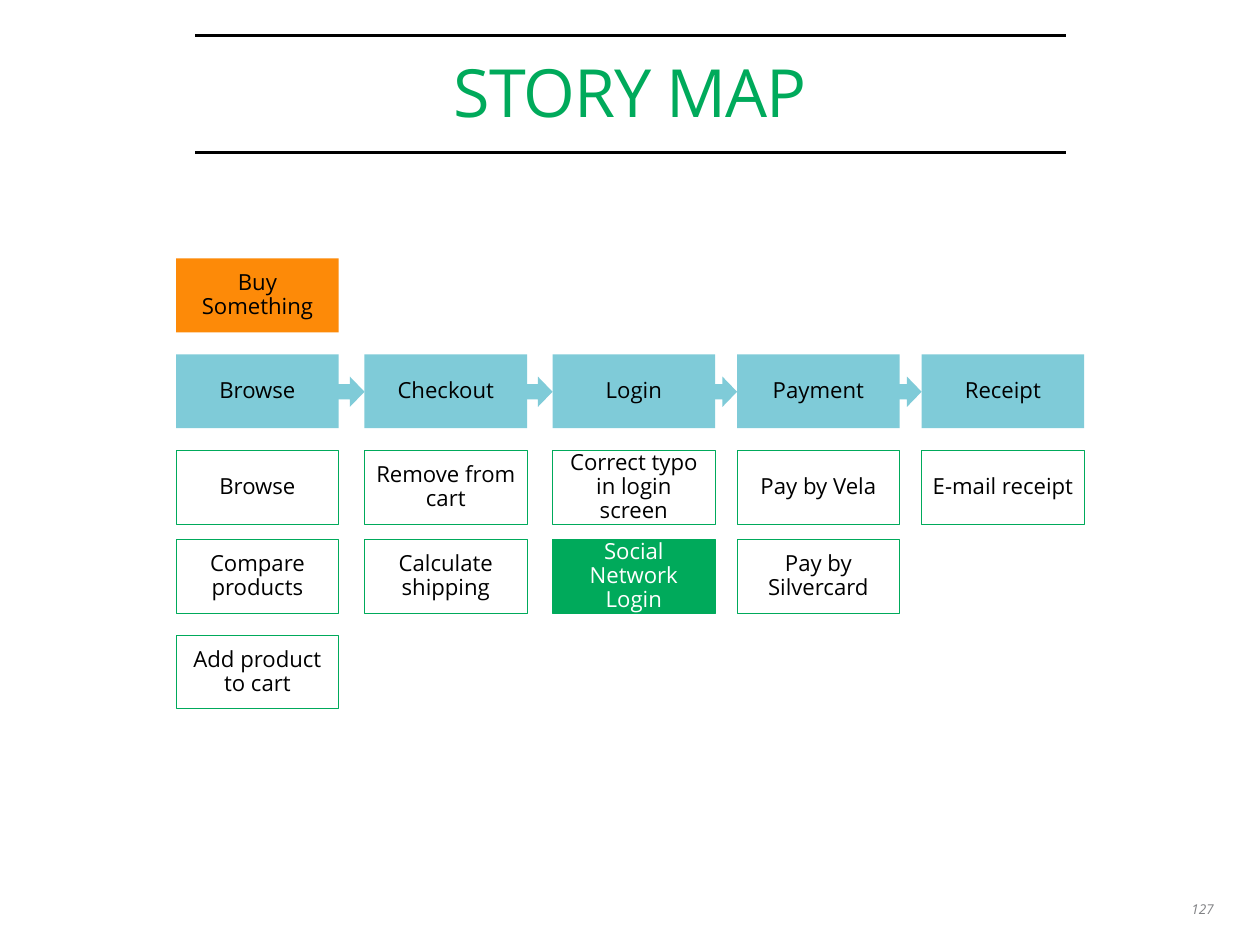
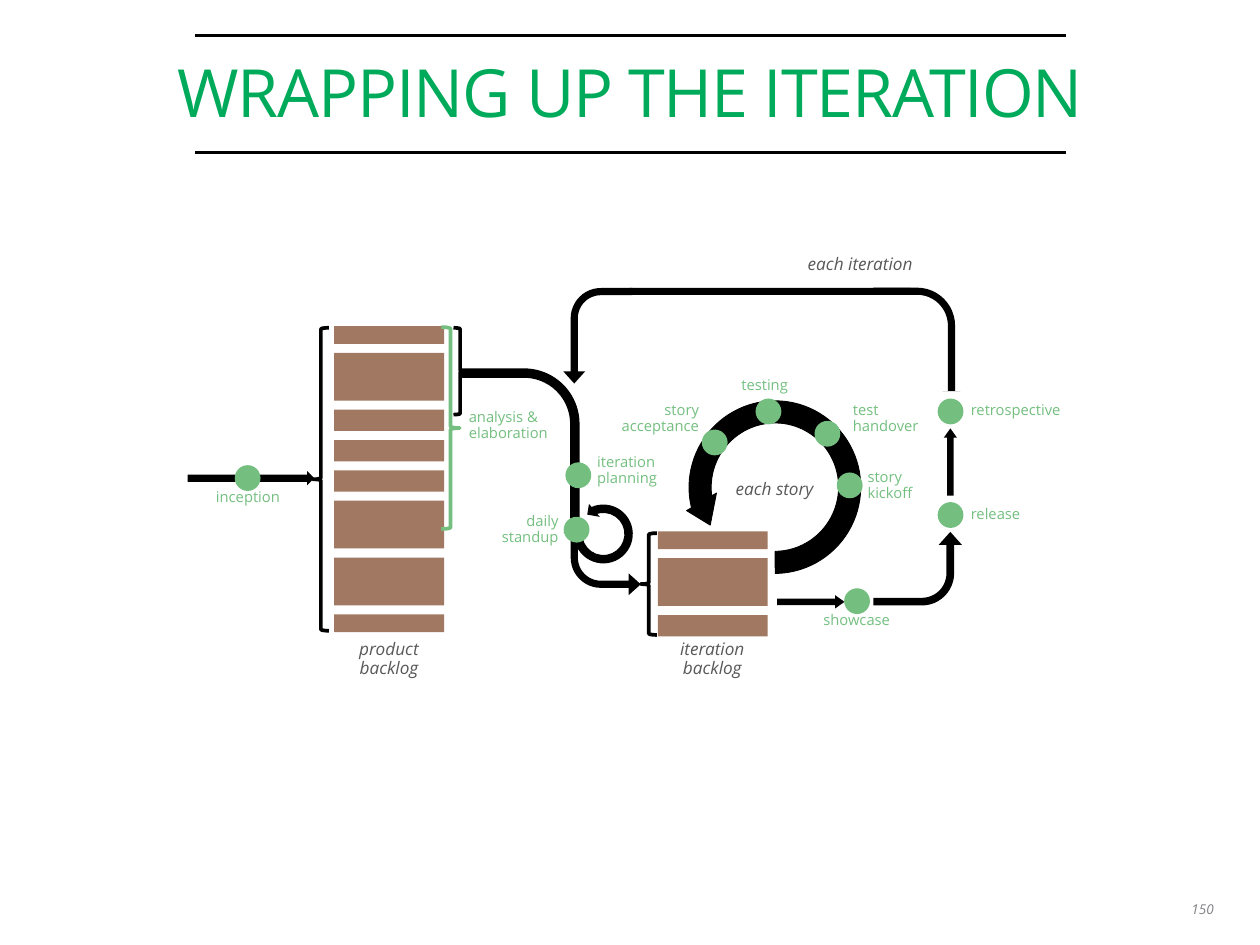
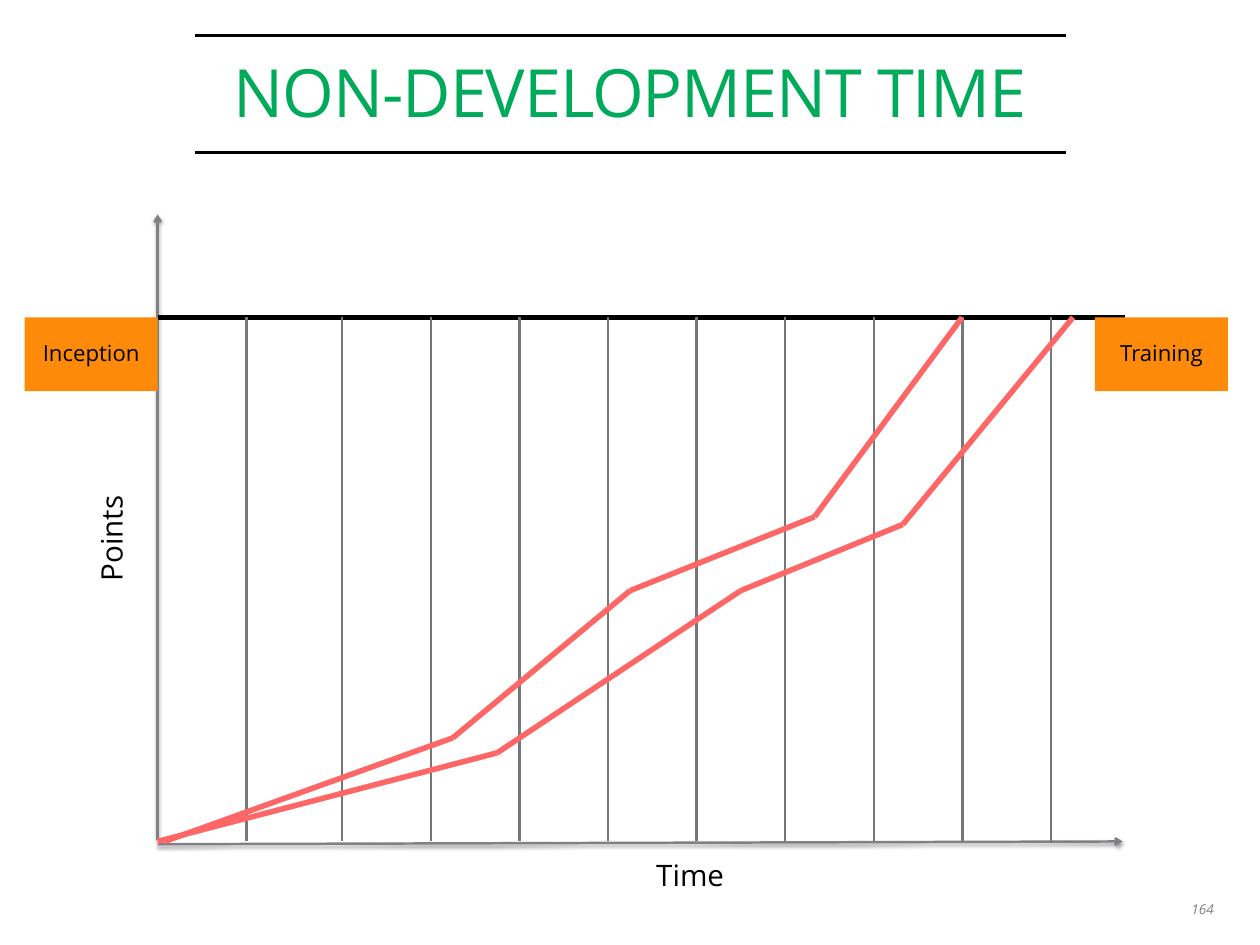
"""Build three agile training slides: story map, iteration flow and burn-up."""
from dataclasses import dataclass
from typing import Optional

from lxml import etree
from pptx import Presentation
from pptx.dml.color import RGBColor
from pptx.enum.shapes import MSO_CONNECTOR, MSO_SHAPE
from pptx.enum.text import MSO_ANCHOR, MSO_AUTO_SIZE, PP_ALIGN
from pptx.oxml.ns import qn
from pptx.shapes.autoshape import Shape
from pptx.shapes.connector import Connector
from pptx.slide import Slide
from pptx.text.text import TextFrame
from pptx.util import Cm, Pt

RECTANGLE = MSO_SHAPE.RECTANGLE
OVAL = MSO_SHAPE.OVAL
RIGHT_ARROW = MSO_SHAPE.RIGHT_ARROW
BENT_ARROW = MSO_SHAPE.BENT_ARROW
CIRCULAR_ARROW = MSO_SHAPE.CIRCULAR_ARROW
LEFT_BRACE = MSO_SHAPE.LEFT_BRACE
STRAIGHT = MSO_CONNECTOR.STRAIGHT
MIDDLE = MSO_ANCHOR.MIDDLE
NO_AUTOFIT = MSO_AUTO_SIZE.NONE
GROW = MSO_AUTO_SIZE.SHAPE_TO_FIT_TEXT
LEFT, CENTER, RIGHT = PP_ALIGN.LEFT, PP_ALIGN.CENTER, PP_ALIGN.RIGHT

BLACK = RGBColor(0x00, 0x00, 0x00)
WHITE = RGBColor(0xFF, 0xFF, 0xFF)
GREEN = RGBColor(0x00, 0xAA, 0x5B)
SOFT_GREEN = RGBColor(0x74, 0xBF, 0x80)
BLUE = RGBColor(0x7F, 0xCB, 0xD8)
ORANGE = RGBColor(0xFD, 0x8A, 0x08)
BROWN = RGBColor(0xA1, 0x78, 0x61)
RED = RGBColor(0xFF, 0x66, 0x66)
GRAY = RGBColor(0x80, 0x81, 0x84)
GRID_GRAY = RGBColor(0x77, 0x77, 0x77)
DARK_GRAY = RGBColor(0x59, 0x59, 0x59)

FONT = "Open Sans"
SLIDE_WIDTH, SLIDE_HEIGHT = 36.12, 27.1
CARD_HEIGHT = 2.12


@dataclass(frozen=True)
class Box:
    """Frame of a shape in centimetres."""
    left: float
    top: float
    width: float
    height: float

    def lengths(self) -> tuple[Cm, Cm, Cm, Cm]:
        """Return the frame as lengths."""
        return Cm(self.left), Cm(self.top), Cm(self.width), Cm(self.height)


@dataclass(frozen=True)
class TextStyle:
    """Look of the paragraphs in one text frame."""
    size: float
    color: RGBColor = BLACK
    align: PP_ALIGN = CENTER
    italic: bool = False
    spacing: float = 0.9


@dataclass(frozen=True)
class Column:
    """One step of the story map with its stories."""
    left: float
    step: str
    stories: tuple[str, ...]


@dataclass(frozen=True)
class Arrow:
    """Solid block arrow of the iteration flow."""
    kind: MSO_SHAPE
    box: Box
    rotation: float = 0
    flip: str = ""
    adjustments: tuple[float, ...] = ()
    outline: Optional[RGBColor] = None


@dataclass(frozen=True)
class Brace:
    """Brace beside a backlog."""
    box: Box
    rotation: float = 0
    color: RGBColor = BLACK


@dataclass(frozen=True)
class Label:
    """Activity name in the iteration flow."""
    text: str
    left: float
    top: float
    align: PP_ALIGN = LEFT
    width: float = 3.5


TITLE = TextStyle(54, GREEN, spacing=0.7)
PAGE_NUMBER = TextStyle(11, GRAY, RIGHT, italic=True, spacing=1.0)
CARD = TextStyle(18)
HIGHLIGHT = TextStyle(18, WHITE)
AXIS = TextStyle(24)
CAPTION = TextStyle(14, DARK_GRAY, italic=True)

COLUMNS = (
    Column(5.05, "Browse", ("Browse", "Compare products", "Add product to cart")),
    Column(10.45, "Checkout", ("Remove from cart", "Calculate shipping")),
    Column(15.84, "Login", ("Correct typo in login screen", "Social Network Login")),
    Column(21.13, "Payment", ("Pay by Vela", "Pay by Silvercard")),
    Column(26.42, "Receipt", ("E-mail receipt",)),
)
MAP_CARD_WIDTH = 4.66
GOAL_TOP, STEP_TOP = 7.41, 10.16
STORY_TOPS = (12.91, 15.46, 18.21)
HIGHLIGHTED_STORY = "Social Network Login"

THIN, MEDIUM, THICK = 0.51, 0.61, 1.37
PRODUCT_BACKLOG = (THIN, THICK, MEDIUM, MEDIUM, MEDIUM, THICK, THICK, THIN)
ITERATION_BACKLOG = (THIN, THICK, MEDIUM)
TURN = (0.104, 0.158, 0.176, 0.438)
SHORT = (0.5, 0.704)
ARROWS = (
    Arrow(CIRCULAR_ARROW, Box(19.56, 11.33, 5.31, 5.28), 282.3, "flipH",
          (0.12, 11.423, 176.194, 7.517, 0.094), BLACK),
    Arrow(RIGHT_ARROW, Box(5.38, 13.51, 3.63, 0.41)),
    Arrow(BENT_ARROW, Box(12.65, 11.1, 4.7, 3.63), 90, "", (0.075, 0.093, 0, 0.438)),
    Arrow(BENT_ARROW, Box(15.77, 8.64, 2.74, 1.98), 90, "flipV", TURN),
    Arrow(RIGHT_ARROW, Box(22.28, 17.07, 1.93, 0.38), 0, "", SHORT),
    Arrow(BENT_ARROW, Box(24.8, 8.49, 2.97, 2.49), 90, "", (0.082, 0.102, 0, 0.438)),
    Arrow(BENT_ARROW, Box(25.25, 15.04, 2.11, 2.54), 270, "flipV", TURN),
    Arrow(BENT_ARROW, Box(16.36, 15.09, 2.01, 1.98), 0, "flipV", TURN),
    Arrow(RECTANGLE, Box(18.05, 8.26, 8.05, 0.2)),
    Arrow(CIRCULAR_ARROW, Box(16.33, 14.35, 1.93, 1.93), 230.2, "flipV",
          (0.125, 11.423, 204.577, 13.181, 0.125)),
    Arrow(RIGHT_ARROW, Box(26.28, 13.06, 1.93, 0.38), 270, "", SHORT),
)
BRACES = (
    Brace(Box(8.97, 9.4, 0.46, 8.69)),
    Brace(Box(13, 9.4, 0.38, 2.49), 180),
    Brace(Box(18.37, 15.29, 0.46, 2.92)),
    Brace(Box(12.65, 9.38, 0.53, 5.79), 180, SOFT_GREEN),
)
DOT_SIZE = 0.74
DOTS = (
    (6.73, 13.34), (16.21, 13.26), (16.16, 14.82), (20.12, 12.32), (21.66, 11.43),
    (23.35, 12.07), (23.99, 13.55), (24.2, 16.87), (26.88, 14.4), (26.88, 11.43),
)
LABELS = (
    Label("inception", 5.36, 13.92, CENTER),
    Label("analysis &\nelaboration", 13.19, 11.63),
    Label("iteration\nplanning", 16.87, 12.92),
    Label("daily\nstandup", 13.62, 14.61, RIGHT, 2.64),
    Label("story acceptance", 16.79, 11.43, RIGHT),
    Label("testing", 20.17, 10.71, CENTER),
    Label("test\nhandover", 24.2, 11.43, width=2.74),
    Label("story\nkickoff", 24.62, 13.34, width=2.34),
    Label("showcase", 22.81, 17.45, CENTER),
    Label("release", 27.58, 14.4),
    Label("retrospective", 27.58, 11.43),
)
CAPTIONS = (
    ("each story", Box(20.68, 13.67, 3.05, 0.81)),
    ("each iteration", Box(22.3, 7.21, 4.72, 0.81)),
    ("product\nbacklog", Box(9.6, 18.25, 3.1, 1.35)),
    ("iteration\nbacklog", Box(18.87, 18.25, 3.1, 1.35)),
)

ORIGIN_LEFT, SCOPE_TOP, BASELINE = 4.52, 9.1, 24.13
GRID_LEFTS = (7.06, *(9.81 + 2.54 * index for index in range(9)))
PROGRESS_LINES = (
    ((4.72, BASELINE), (12.98, 21.16), (18.06, 16.94), (23.35, 14.82), (27.58, SCOPE_TOP)),
    ((4.52, BASELINE), (14.25, 21.59), (21.23, 16.94), (25.88, 15.04), (30.76, SCOPE_TOP)),
)


def write_text(frame: TextFrame, text: str, style: TextStyle) -> None:
    """Fill a text frame, one paragraph per line of text."""
    frame.text = text
    for paragraph in frame.paragraphs:
        paragraph.alignment = style.align
        paragraph.line_spacing = style.spacing
        font = paragraph.font
        font.name = FONT
        font.size = Pt(style.size)
        font.italic = style.italic
        font.bold = False
        font.color.rgb = style.color


def add_label(slide: Slide, box: Box, text: str, style: TextStyle) -> Shape:
    """Add a wrapping text box that grows with its text."""
    label = slide.shapes.add_textbox(*box.lengths())
    label.text_frame.word_wrap = True
    label.text_frame.auto_size = GROW
    write_text(label.text_frame, text, style)
    return label


def add_shape(slide: Slide, kind: MSO_SHAPE, box: Box, fill: Optional[RGBColor],
              outline: Optional[RGBColor] = None, weight: float = 0.75) -> Shape:
    """Add a flat preset shape."""
    shape = slide.shapes.add_shape(kind, *box.lengths())
    shape.shadow.inherit = False
    if fill is None:
        shape.fill.background()
    else:
        shape.fill.solid()
        shape.fill.fore_color.rgb = fill
    if outline is None:
        shape.line.fill.background()
    else:
        shape.line.color.rgb = outline
        shape.line.width = Pt(weight)
    return shape


def add_card(slide: Slide, box: Box, text: str, fill: RGBColor,
             outline: Optional[RGBColor] = None, style: TextStyle = CARD) -> None:
    """Add a rectangle with centred text."""
    card = add_shape(slide, RECTANGLE, box, fill, outline)
    card.text_frame.word_wrap = True
    card.text_frame.vertical_anchor = MIDDLE
    write_text(card.text_frame, text, style)


def add_line(slide: Slide, start: tuple[float, float], end: tuple[float, float],
             color: RGBColor, weight: float) -> Connector:
    """Add a straight line without a shadow."""
    line = slide.shapes.add_connector(STRAIGHT, *map(Cm, start + end))
    line.line.color.rgb = color
    line.line.width = Pt(weight)
    etree.SubElement(line.element.spPr, qn("a:effectLst"))
    return line


def add_axis(slide: Slide, start: tuple[float, float], end: tuple[float, float]) -> None:
    """Add a gray axis with an arrowhead and a soft shadow."""
    properties = add_line(slide, start, end, GRAY, 2).element.spPr
    etree.SubElement(properties.find(qn("a:ln")), qn("a:tailEnd"), type="arrow")
    shadow = etree.SubElement(
        properties.find(qn("a:effectLst")), qn("a:outerShdw"), blurRad=str(Pt(3.1)),
        dist=str(Pt(1.6)), dir="5400000", rotWithShape="0")
    color = etree.SubElement(shadow, qn("a:srgbClr"), val=str(BLACK))
    etree.SubElement(color, qn("a:alpha"), val="38000")


def add_slide(presentation: Presentation, title: str, number: int,
              title_left: float = 0) -> Slide:
    """Add a slide with its title, the two rules and the page number."""
    slide = presentation.slides.add_slide(presentation.slide_layouts[5])
    for top in (1.02, 4.37):
        add_line(slide, (5.6, top), (30.55, top), BLACK, 2)
    heading = slide.shapes.title
    box = Box(title_left, 1.88, SLIDE_WIDTH - 2 * title_left, 2.01)
    heading.left, heading.top, heading.width, heading.height = box.lengths()
    frame = heading.text_frame
    frame.margin_left = frame.margin_right = frame.margin_top = frame.margin_bottom = Cm(0)
    frame.vertical_anchor = MIDDLE
    frame.word_wrap = True
    frame.auto_size = NO_AUTOFIT
    write_text(frame, title, TITLE)
    frame.paragraphs[0].runs[0].font._element.set("spc", "-90")
    page = slide.shapes.add_textbox(*Box(33.55, 25.7, 1.5, 0.81).lengths())
    page.text_frame.word_wrap = True
    write_text(page.text_frame, str(number), PAGE_NUMBER)
    return slide


def build_story_map(presentation: Presentation) -> None:
    """Draw the goal, its steps and the stories below each step."""
    slide = add_slide(presentation, "STORY MAP", 127, title_left=5.56)

    def card_box(left: float, top: float) -> Box:
        return Box(left, top, MAP_CARD_WIDTH, CARD_HEIGHT)

    add_card(slide, card_box(COLUMNS[0].left, GOAL_TOP), "Buy Something", ORANGE)
    for column in COLUMNS:
        add_card(slide, card_box(column.left, STEP_TOP), column.step, BLUE)
        for top, story in zip(STORY_TOPS, column.stories):
            highlighted = story == HIGHLIGHTED_STORY
            add_card(slide, card_box(column.left, top), story,
                     GREEN if highlighted else WHITE, GREEN,
                     HIGHLIGHT if highlighted else CARD)
    for column in COLUMNS[1:]:
        add_shape(slide, RIGHT_ARROW, Box(column.left - 0.84, 10.8, 0.84, 0.87), BLUE)


def add_backlog(slide: Slide, left: float, top: float, heights: tuple[float, ...]) -> None:
    """Stack backlog items with equal gaps."""
    for height in heights:
        add_shape(slide, RECTANGLE, Box(left, top, 3.15, height), BROWN)
        top += height + 0.26


def build_iteration_flow(presentation: Presentation) -> None:
    """Draw the flow from inception to retrospective."""
    slide = add_slide(presentation, "WRAPPING UP THE ITERATION", 150)
    add_backlog(slide, 9.58, 9.35, PRODUCT_BACKLOG)
    add_backlog(slide, 18.86, 15.24, ITERATION_BACKLOG)
    for arrow in ARROWS:
        shape = add_shape(slide, arrow.kind, arrow.box, BLACK, arrow.outline)
        shape.rotation = arrow.rotation
        if arrow.flip:
            shape.element.spPr.xfrm.set(arrow.flip, "1")
        for index, value in enumerate(arrow.adjustments):
            shape.adjustments[index] = value
    for brace in BRACES:
        shape = add_shape(slide, LEFT_BRACE, brace.box, None, brace.color, 3)
        shape.rotation = brace.rotation
    for left, top in DOTS:
        add_shape(slide, OVAL, Box(left, top, DOT_SIZE, DOT_SIZE), SOFT_GREEN)
    for label in LABELS:
        height = 1.19 if len(label.text.split()) > 1 else 0.74
        add_label(slide, Box(label.left, label.top, label.width, height), label.text,
                  TextStyle(12, SOFT_GREEN, label.align))
    for text, box in CAPTIONS:
        add_label(slide, box, text, CAPTION)


def build_burn_up(presentation: Presentation) -> None:
    """Draw the two progress lines between inception and training."""
    slide = add_slide(presentation, "NON-DEVELOPMENT TIME", 164)
    add_axis(slide, (ORIGIN_LEFT, 24.1), (ORIGIN_LEFT, 6.15))
    add_axis(slide, (ORIGIN_LEFT, 24.21), (32.18, BASELINE))
    for text, left, top, rotation in (("Points", -0.95, 14.79, 270), ("Time", 15.58, 24.51, 0)):
        label = add_label(slide, Box(left, top, 8.41, 1.3), text, AXIS)
        label.rotation = rotation
        frame = label.text_frame
        frame.margin_left = frame.margin_right = Cm(0.36)
        frame.margin_top = frame.margin_bottom = Cm(0.18)
    add_line(slide, (ORIGIN_LEFT, SCOPE_TOP), (32.24, SCOPE_TOP), BLACK, 4.5)
    for left in GRID_LEFTS:
        add_line(slide, (left, SCOPE_TOP), (left, BASELINE), GRID_GRAY, 2)
    for points in PROGRESS_LINES:
        for start, end in zip(points, points[1:]):
            add_line(slide, start, end, RED, 4.5)
    for text, left in (("Inception", 0.71), ("Training", 31.39)):
        add_card(slide, Box(left, SCOPE_TOP, 3.81, CARD_HEIGHT), text, ORANGE)


def main() -> None:
    """Build and save the presentation."""
    presentation = Presentation()
    presentation.slide_width = Cm(SLIDE_WIDTH)
    presentation.slide_height = Cm(SLIDE_HEIGHT)
    build_story_map(presentation)
    build_iteration_flow(presentation)
    build_burn_up(presentation)
    presentation.save("out.pptx")


if __name__ == "__main__":
    main()
